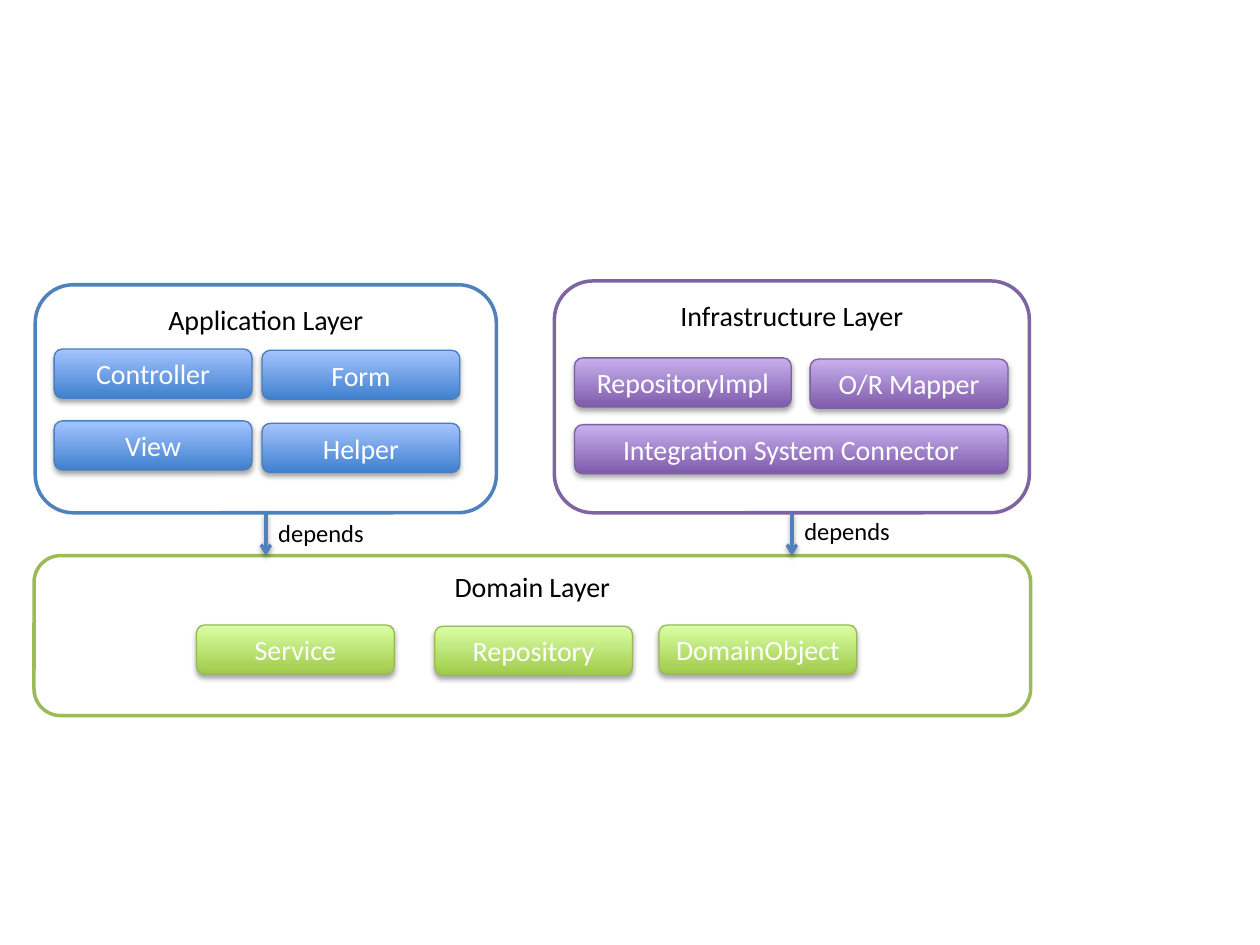
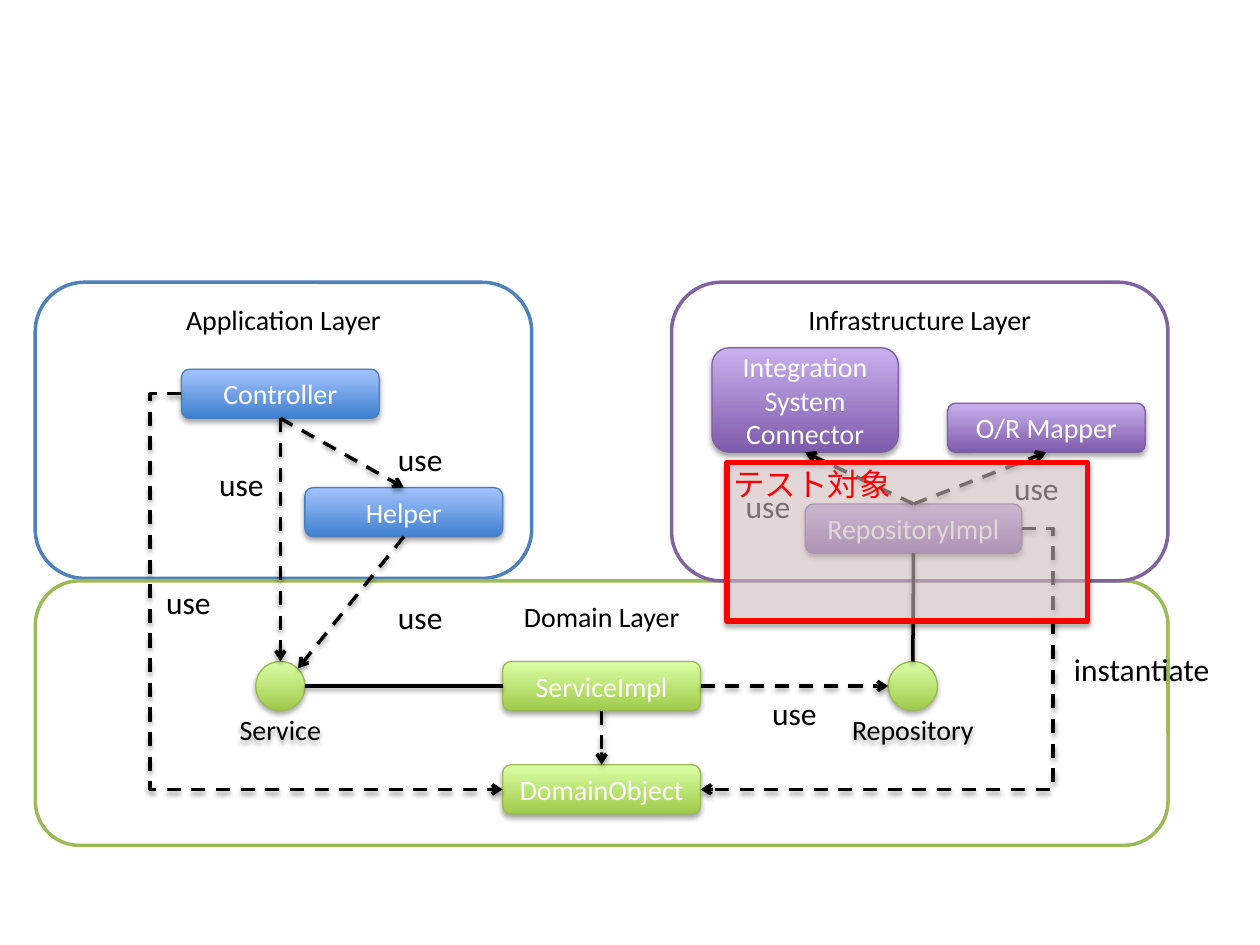
from lxml.etree import SubElement
from pptx import Presentation
from pptx.dml.color import RGBColor
from pptx.enum.dml import MSO_LINE
from pptx.enum.shapes import MSO_CONNECTOR as CONNECTOR, MSO_SHAPE as SHAPE
from pptx.enum.text import MSO_ANCHOR as ANCHOR, MSO_AUTO_SIZE as AUTO_SIZE, PP_ALIGN as ALIGN
from pptx.oxml.ns import qn
from pptx.util import Inches, Pt

FONT = "Calibri"
BLACK = RGBColor(0x00, 0x00, 0x00)
WHITE = RGBColor(0xFF, 0xFF, 0xFF)
RED = RGBColor(0xFF, 0x00, 0x00)
PINK = RGBColor(0xF2, 0xDC, 0xDB)
BLUE = RGBColor(0x4F, 0x81, 0xBD)
GREEN = RGBColor(0x9B, 0xBB, 0x59)
PURPLE = RGBColor(0x80, 0x64, 0xA2)

# Layer colour -> gradient bottom, gradient top, outline of its parts
PART_COLORS = {
    BLUE: (RGBColor(0x3F, 0x80, 0xCE), RGBColor(0xA4, 0xC4, 0xFF), RGBColor(0x4B, 0x7E, 0xBC)),
    GREEN: (RGBColor(0xA0, 0xCA, 0x4A), RGBColor(0xDA, 0xFF, 0xA5), RGBColor(0x98, 0xB9, 0x55)),
    PURPLE: (RGBColor(0x7F, 0x5B, 0xAB), RGBColor(0xC8, 0xB0, 0xED), RGBColor(0x7D, 0x60, 0xA0)),
}
PART_WIDTH, PART_HEIGHT = 1.57, 0.39
WIDE = 1.72  # RepositoryImpl
LABEL_HEIGHT = 0.4

# Layers: name, colour, (left, top, width, height)
# Parts: name, colour, left, top, then width and height where not standard
OVERVIEW = {
    "layers": [
        ("Application Layer", BLUE, (0.28, 2.26, 3.66, 1.81)),
        ("Domain Layer", GREEN, (0.27, 4.41, 7.91, 1.27)),
        ("Infrastructure Layer", PURPLE, (4.4, 2.23, 3.77, 1.84)),
    ],
    "parts": [
        ("Controller", BLUE, 0.43, 2.77),
        ("Form", BLUE, 2.08, 2.78),
        ("View", BLUE, 0.43, 3.34),
        ("Helper", BLUE, 2.08, 3.36),
        ("Service", GREEN, 1.56, 4.96),
        ("Repository", GREEN, 3.45, 4.97),
        ("DomainObject", GREEN, 5.23, 4.96),
        ("RepositoryImpl", PURPLE, 4.56, 2.84, WIDE),
        ("O/R Mapper", PURPLE, 6.43, 2.85),
        ("Integration System Connector", PURPLE, 4.56, 3.37, 3.44),
    ],
    # layer that depends on the domain, label top
    "depends": [("Application Layer", 4.06), ("Infrastructure Layer", 4.05)],
}

CONNECTOR_NAME = "Integration\nSystem\nConnector"
DETAIL = {
    "layers": [
        ("Application Layer", BLUE, (0.28, 2.24, 3.94, 2.35)),
        ("Domain Layer", GREEN, (0.28, 4.61, 8.99, 2.1)),
        ("Infrastructure Layer", PURPLE, (5.33, 2.24, 3.94, 2.37)),
    ],
    "parts": [
        ("Controller", BLUE, 1.44, 2.93),
        ("Helper", BLUE, 2.42, 3.87),
        ("ServiceImpl", GREEN, 3.99, 5.25),
        ("DomainObject", GREEN, 3.99, 6.07),
        ("O/R Mapper", PURPLE, 7.52, 3.2),
        ("RepositoryImpl", PURPLE, 6.39, 4, WIDE),
        (CONNECTOR_NAME, PURPLE, 5.65, 2.76, 1.48, 0.83),
    ],
    "interfaces": [("Repository", 7.05, 5.25), ("Service", 2.03, 5.25)],
    # from part, side, to part, side
    "implements": [
        ("Service", "right", "ServiceImpl", "left"),
        ("RepositoryImpl", "bottom", "Repository", "top"),
    ],
    "uses": [
        ("ServiceImpl", "right", "Repository", "left"),
        ("Controller", "bottom", "Service", "top"),
        ("Controller", "bottom", "Helper", "top"),
        ("Helper", "bottom", "Service", "top right"),
        ("RepositoryImpl", "top", "O/R Mapper", "bottom"),
        ("RepositoryImpl", "top", CONNECTOR_NAME, "bottom"),
        ("ServiceImpl", "bottom", "DomainObject", "top"),
    ],
    "detours": [
        ("Controller", "left", "DomainObject", "left"),
        ("RepositoryImpl", "right", "DomainObject", "right"),
    ],
    # text, left, top, width
    "labels": [("use", left, top, 0.65) for left, top in (
        (3.01, 4.7), (5.98, 5.46), (3.01, 3.44), (1.59, 3.64),
        (1.17, 4.58), (5.77, 3.82), (7.9, 3.67))] + [("instantiate", 8.37, 5.11, 1.38)],
}
TEST_AREA = (5.77, 3.67, 2.86, 1.26)
TEST_LABEL = ("テスト対象", (5.72, 3.64, 1.74, LABEL_HEIGHT))

# Sides as fractions of width and height
SIDES = {"top": (0.5, 0), "bottom": (0.5, 1), "left": (0, 0.5), "right": (1, 0.5),
         "top right": (0.86, 0.14)}
DETOUR = -0.098  # how far an elbow swings out, as a share of its width


def write(frame, text, size=16, color=BLACK, align=ALIGN.CENTER, anchor=ANCHOR.TOP, wrap=True):
    """Fill a text frame, one paragraph per line of text."""
    frame.word_wrap = wrap
    frame.vertical_anchor = anchor
    for index, line in enumerate(text.split("\n")):
        paragraph = frame.add_paragraph() if index else frame.paragraphs[0]
        paragraph.alignment = align
        run = paragraph.add_run()
        run.text = line
        run.font.name, run.font.size = FONT, Pt(size)
        run.font.color.rgb = color


def add_shadow(properties, alpha, distance):
    """Give shape properties a soft shadow straight below."""
    effects = properties.find(qn("a:effectLst"))
    if effects is None:
        effects = SubElement(properties, qn("a:effectLst"))
    shadow = SubElement(effects, qn("a:outerShdw"), blurRad=str(Pt(3.1)), dist=str(Pt(distance)),
                        dir="5400000", rotWithShape="0")
    black = SubElement(shadow, qn("a:srgbClr"), val="000000")
    SubElement(black, qn("a:alpha"), val=str(alpha * 1000))


def add_box(slide, kind, box, line_color, line_width, shadow=False):
    """Add an outlined preset shape; the caller fills it."""
    shape = slide.shapes.add_shape(kind, *map(Inches, box))
    shape.line.color.rgb = line_color
    shape.line.width = Pt(line_width)
    shape.shadow.inherit = False
    if shadow:
        add_shadow(shape._element.spPr, 35, 1.8)
    return shape


def add_layer(slide, name, color, box):
    """Add a white layer frame with its title at the top."""
    shape = add_box(slide, SHAPE.ROUNDED_RECTANGLE, box, color, 2)
    shape.fill.solid()
    shape.fill.fore_color.rgb = WHITE
    write(shape.text_frame, name)
    return shape


def add_part(slide, color, left, top, width=PART_WIDTH, height=PART_HEIGHT,
             kind=SHAPE.ROUNDED_RECTANGLE):
    """Add a gradient shape in the colours of its layer."""
    dark, light, outline = PART_COLORS[color]
    shape = add_box(slide, kind, (left, top, width, height), outline, 0.75, shadow=True)
    shape.fill.gradient()
    shape.fill.gradient_angle = 90
    for stop, stop_color, position in zip(shape.fill.gradient_stops, (dark, light), (0, 1)):
        stop.color.rgb = stop_color
        stop.position = position
    return shape


def add_interface(slide, name, left, top):
    """Add a round interface with its name below."""
    shape = add_part(slide, GREEN, left, top, PART_HEIGHT, kind=SHAPE.OVAL)
    frame = shape.text_frame
    frame.margin_top, frame.margin_bottom = Inches(0.79), Inches(0.1)
    write(frame, name, anchor=ANCHOR.MIDDLE, wrap=False)
    return shape


def add_label(slide, text, box, **text_format):
    """Add a text box that grows with its text."""
    frame = slide.shapes.add_textbox(*map(Inches, box)).text_frame
    write(frame, text, **text_format)
    frame.auto_size = AUTO_SIZE.SHAPE_TO_FIT_TEXT


def side_point(shape, side):
    """Return the point on one side of a shape."""
    across, down = SIDES[side]
    return int(shape.left + across * shape.width), int(shape.top + down * shape.height)


def add_link(slide, start, end, color=BLACK, arrow=True, dashed=True, elbow=False):
    """Draw a straight or detouring line between two points."""
    kind = CONNECTOR.ELBOW if elbow else CONNECTOR.STRAIGHT
    link = slide.shapes.add_connector(kind, *start, *end)
    link.line.color.rgb = color
    link.line.width = Pt(2)
    if dashed:
        link.line.dash_style = MSO_LINE.DASH
    properties = link._element.spPr
    if arrow:
        SubElement(properties.find(qn("a:ln")), qn("a:tailEnd"), type="arrow")
    if elbow:
        guides = properties.find(qn("a:prstGeom")).find(qn("a:avLst"))
        SubElement(guides, qn("a:gd"), name="adj1", fmla=f"val {round(DETOUR * 100000)}")
    add_shadow(properties, 38, 1.6)


def add_layers_slide(presentation, content):
    """Add a slide with layers and parts; return it and its shapes by name."""
    slide = presentation.slides.add_slide(presentation.slide_layouts[6])
    shapes = {name: add_layer(slide, name, color, box) for name, color, box in content["layers"]}
    for name, color, *box in content["parts"]:
        shapes[name] = add_part(slide, color, *box)
        write(shapes[name].text_frame, name, color=WHITE, anchor=ANCHOR.MIDDLE)
    return slide, shapes


def build_overview(presentation):
    """Build the slide of layers and their dependencies."""
    slide, shapes = add_layers_slide(presentation, OVERVIEW)
    for name, label_top in OVERVIEW["depends"]:
        x, y = side_point(shapes[name], "bottom")
        add_link(slide, (x, y), (x, shapes["Domain Layer"].top), color=BLUE, dashed=False)
        add_label(slide, "depends", (x / Inches(1), label_top, 1.45, 0.34),
                  size=14, align=ALIGN.LEFT)


def build_detail(presentation):
    """Build the slide of parts, their uses and the area under test."""
    slide, shapes = add_layers_slide(presentation, DETAIL)
    for name, left, top in DETAIL["interfaces"]:
        shapes[name] = add_interface(slide, name, left, top)
    styles = {"implements": {"arrow": False, "dashed": False}, "uses": {},
              "detours": {"elbow": True}}
    for group, style in styles.items():
        for source, source_side, target, target_side in DETAIL[group]:
            add_link(slide, side_point(shapes[source], source_side),
                     side_point(shapes[target], target_side), **style)
    for text, left, top, width in DETAIL["labels"]:
        add_label(slide, text, (left, top, width, LABEL_HEIGHT), size=18)

    area = add_box(slide, SHAPE.RECTANGLE, TEST_AREA, RED, 3, shadow=True)
    area.fill.solid()
    area.fill.fore_color.rgb = PINK
    fill_color = area._element.spPr.find(qn("a:solidFill"))[0]
    SubElement(fill_color, qn("a:alpha"), val="50000")
    add_label(slide, *TEST_LABEL, size=18, color=RED, align=ALIGN.LEFT)


presentation = Presentation()
presentation.slide_width, presentation.slide_height = Inches(10), Inches(7.5)
build_overview(presentation)
build_detail(presentation)
presentation.save("out.pptx")
